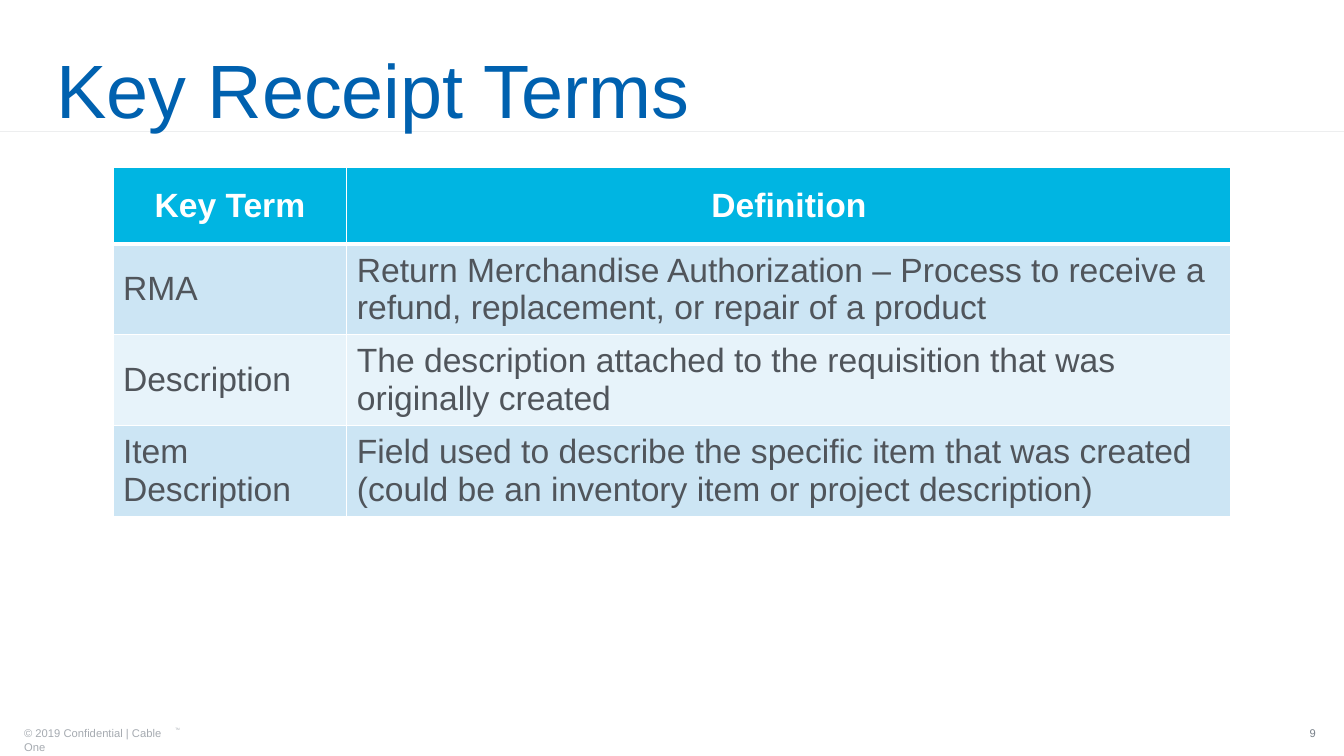
import pptx
import pptx.dml.color
import pptx.enum.shapes
import pptx.enum.text
import pptx.oxml
import pptx.oxml.ns
import pptx.util

ALIGN = pptx.enum.text.PP_ALIGN
ANCHOR = pptx.enum.text.MSO_ANCHOR
WHITE = "FFFFFF"
HEADER = ["Key Term", "Definition"]
TERMS = [
    ["RMA", "Return Merchandise Authorization – Process to receive a refund, replacement, or repair of a product"],
    ["Description", "The description attached to the requisition that was originally created"],
    ["Item Description", "Field used to describe the specific item that was created "
     "(could be an inventory item or project description)"],
]


def px(n):
    return pptx.util.Emu(n * 9144)


def rgb(value):
    return pptx.dml.color.RGBColor.from_string(value)


def write(tf, text, size=24, color="50555B", bold=False, align=ALIGN.LEFT, spacing=None, baseline=None):
    p = tf.paragraphs[0]
    p.alignment = align
    if spacing:
        p.line_spacing = spacing
    r = p.add_run()
    r.text = text
    r.font.name = "Arial"
    r.font.size = pptx.util.Pt(size)
    r.font.bold = bold
    r.font.color.rgb = rgb(color)
    if baseline:
        r._r.get_or_add_rPr().set("baseline", str(baseline))


class Deck:
    """Hold the presentation style and the current slide."""

    def __init__(self):
        self.prs = pptx.Presentation()
        self.prs.slide_width, self.prs.slide_height = px(1333), px(750)
        self.s = self.prs.slides.add_slide(self.prs.slide_layouts[6])

    def text(self, x, y, w, h, text, anchor=ANCHOR.TOP, **style):
        tf = self.s.shapes.add_textbox(px(x), px(y), px(w), px(h)).text_frame
        tf.word_wrap = True
        tf.vertical_anchor = anchor
        write(tf, text, **style)

    def line(self, x1, y1, x2, y2, color, width):
        kind = pptx.enum.shapes.MSO_CONNECTOR.STRAIGHT
        sp = self.s.shapes.add_connector(kind, px(x1), px(y1), px(x2), px(y2))
        sp.line.color.rgb = rgb(color)
        sp.line.width = pptx.util.Pt(width)
        sp._element.spPr.append(pptx.oxml.parse_xml(f"<a:effectLst {pptx.oxml.ns.nsdecls('a')}/>"))

    def border(self, cell, **widths):
        for side, width in widths.items():
            cell._tc.get_or_add_tcPr().append(pptx.oxml.parse_xml(
                f'<a:ln{side} {pptx.oxml.ns.nsdecls("a")} w="{pptx.util.Pt(width)}">'
                f'<a:solidFill><a:srgbClr val="{WHITE}"/></a:solidFill></a:ln{side}>'))

    def table(self, x, y, widths, heights, rows):
        frame = self.s.shapes.add_table(len(rows), len(widths), px(x), px(y), px(sum(widths)), px(sum(heights)))
        table = frame.table
        for column, width in zip(table.columns, widths):
            column.width = px(width)
        for i, (row, height) in enumerate(zip(rows, heights)):
            table.rows[i].height = px(height)
            for j, text in enumerate(row):
                cell = table.cell(i, j)
                self.border(cell, L=1, R=1, T=3 if i == 1 else 1, B=3 if i == 0 else 1)
                cell.fill.solid()
                cell.vertical_anchor = ANCHOR.MIDDLE
                if i == 0:
                    cell.fill.fore_color.rgb = rgb("00B5E2")
                    write(cell.text_frame, text, color=WHITE, bold=True, align=ALIGN.CENTER)
                else:
                    cell.fill.fore_color.rgb = rgb("CCE5F4" if i % 2 else "E7F3FA")
                    write(cell.text_frame, text)


def main():
    deck = Deck()
    deck.text(14, 716, 175, 20, "© 2019 Confidential | Cable One", size=8, color="A6ABB1")
    deck.text(164, 716, 100, 17, "TM", size=4, color="A6ABB1", baseline=30000)
    deck.line(0, 130, 1333, 130, "EDEEEF", 0.35)
    deck.text(978, 706, 337, 43, "9", ANCHOR.MIDDLE, size=8, color="788089", align=ALIGN.RIGHT)
    deck.table(112, 166, [232, 877], [76, 90, 90, 90], [HEADER, *TERMS])
    deck.text(46, 21, 1210, 145, "Key Receipt Terms", ANCHOR.MIDDLE, size=54, color="0061AF", spacing=0.9)
    deck.prs.save("out.pptx")


if __name__ == "__main__":
    main()
